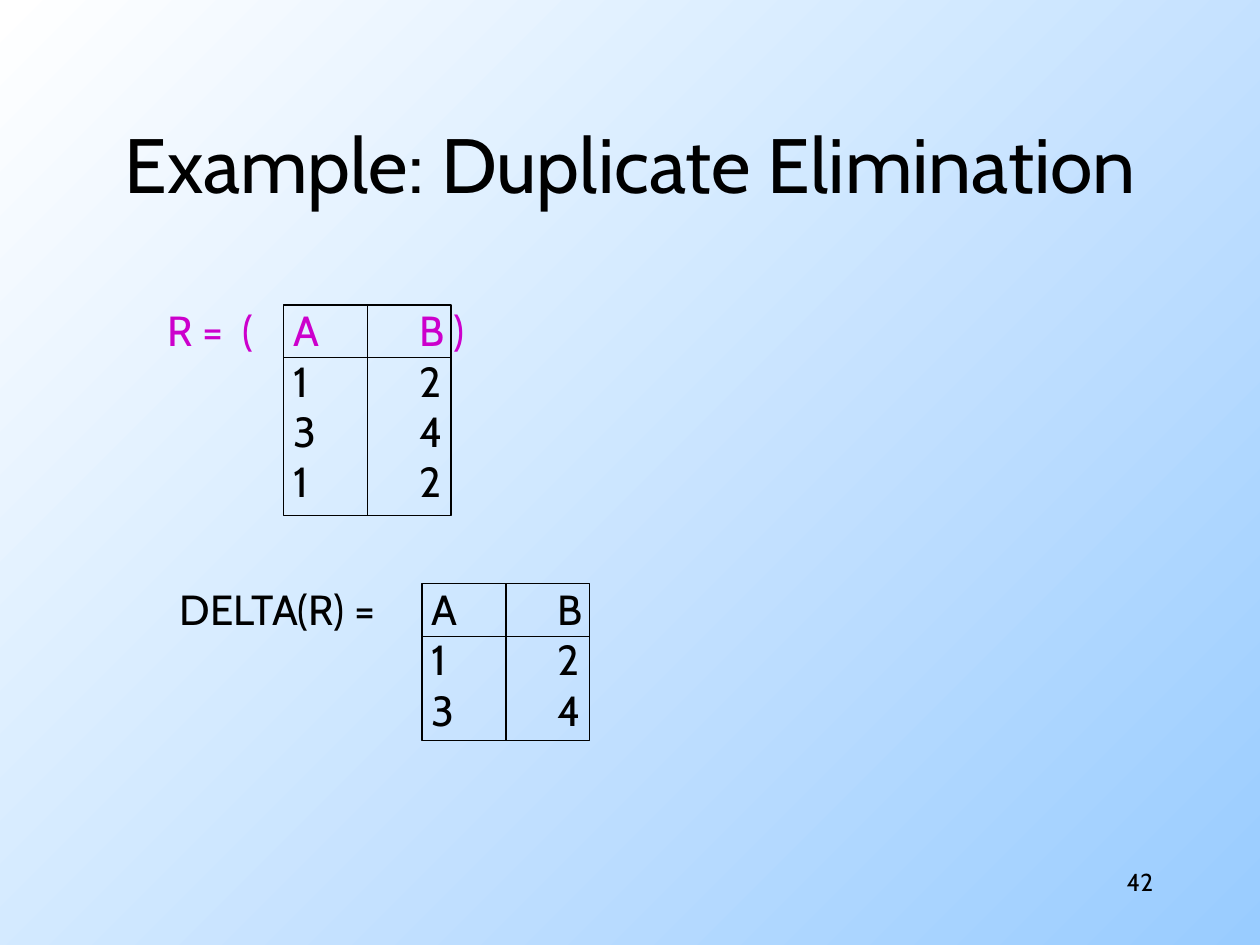
from lxml.etree import SubElement
from pptx import Presentation
from pptx.dml.color import RGBColor
from pptx.enum.shapes import MSO_CONNECTOR, MSO_SHAPE
from pptx.enum.text import MSO_ANCHOR, MSO_AUTO_SIZE as AutoSize, PP_ALIGN
from pptx.oxml.ns import qn
from pptx.util import Inches, Pt

BLACK = RGBColor(0x00, 0x00, 0x00)
WHITE = RGBColor(0xFF, 0xFF, 0xFF)
SKY = RGBColor(0x99, 0xCC, 0xFF)
MAGENTA = RGBColor(0xCC, 0x00, 0xCC)
FONT = "Cabin"
GRID_WIDTH = 1.33
HEADER_HEIGHT = 0.42


def set_background(slide):
    fill = slide.background.fill
    fill.gradient()
    fill.gradient_angle = 315
    for stop, color in zip(fill.gradient_stops, (WHITE, SKY)):
        stop.color.rgb = color


def set_font(para, size, color=BLACK):
    para.font.name = FONT
    para.font.size = Pt(size)
    para.font.color.rgb = color


def add_tab_stops(para, positions):
    tab_list = SubElement(para._p.get_or_add_pPr(), qn("a:tabLst"))
    for position in positions:
        SubElement(tab_list, qn("a:tab"), pos=str(Inches(position)), algn="l")


def add_title(slide, text):
    title = slide.shapes.title
    title.left, title.top = Inches(0.42), Inches(0.67)
    title.width, title.height = Inches(9.17), Inches(1.25)
    frame = title.text_frame
    frame.text = text
    frame.vertical_anchor = MSO_ANCHOR.MIDDLE
    para = frame.paragraphs[0]
    para.alignment = PP_ALIGN.CENTER
    set_font(para, 44)


def add_page_number(slide, text):
    box = slide.shapes.add_textbox(Inches(7.17), Inches(6.83), Inches(2.08), Inches(0.5))
    box.text_frame.word_wrap = True
    para = box.text_frame.paragraphs[0]
    para.text = text
    para.alignment = PP_ALIGN.RIGHT
    set_font(para, 14)


def add_rows(shapes, left, top, width, height, rows, header_color):
    """Tabbed text: a header row, then the tuples."""
    box = shapes.add_textbox(Inches(left), Inches(top), Inches(width), Inches(height))
    frame = box.text_frame
    frame.word_wrap = False
    frame.auto_size = AutoSize.SHAPE_TO_FIT_TEXT
    frame.text = "\n".join(rows)
    for index, para in enumerate(frame.paragraphs):
        add_tab_stops(para, (1, 2, 3))
        set_font(para, 24, BLACK if index else header_color)


def add_line(shapes, x1, y1, x2, y2):
    line = shapes.add_connector(
        MSO_CONNECTOR.STRAIGHT, Inches(x1), Inches(y1), Inches(x2), Inches(y2))
    line.line.color.rgb = BLACK
    line.line.width = Pt(0.75)
    SubElement(line._element.spPr, qn("a:effectLst"))


def add_grid(shapes, left, top, height):
    """Frame with a header rule and a middle column rule."""
    frame = shapes.add_shape(
        MSO_SHAPE.RECTANGLE, Inches(left), Inches(top), Inches(GRID_WIDTH), Inches(height))
    frame.shadow.inherit = False
    frame.fill.background()
    frame.line.color.rgb = BLACK
    frame.line.width = Pt(0.75)
    rule, middle = top + HEADER_HEIGHT, left + GRID_WIDTH / 2
    add_line(shapes, left, rule, left + GRID_WIDTH, rule)
    add_line(shapes, middle, top, middle, top + height)


def main():
    deck = Presentation()
    deck.slide_width, deck.slide_height = Inches(10), Inches(7.5)
    slide = deck.slides.add_slide(deck.slide_layouts[5])
    set_background(slide)
    add_page_number(slide, "42")
    add_title(slide, "Example: Duplicate Elimination")

    # Relation R
    add_rows(slide.shapes, 1.23, 2.37, 2.63, 1.7,
             ["R =  (\tA\tB )", "\t1\t2", "\t3\t4", "\t1\t2"], MAGENTA)
    add_grid(slide.shapes, 2.25, 2.42, 1.67)

    # Result without duplicates
    result = slide.shapes.add_group_shape().shapes
    add_rows(result, 1.33, 4.58, 3.4, 1.3,
             ["DELTA(R) =\tA\tB", "\t\t1\t2", "\t\t3\t4"], BLACK)
    add_grid(result, 3.35, 4.63, 1.25)

    deck.save("out.pptx")


if __name__ == "__main__":
    main()
